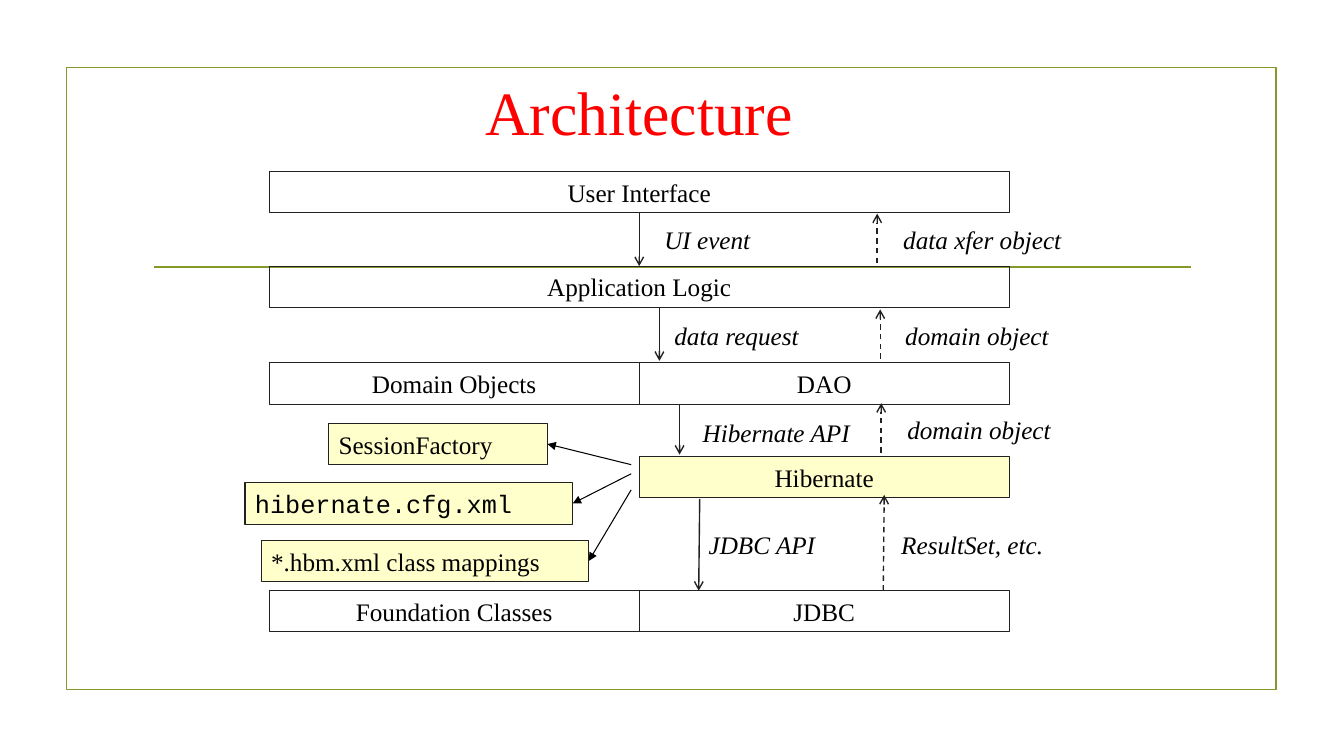
from dataclasses import dataclass
from typing import Any, NamedTuple, Optional

import pptx
import pptx.dml.color
import pptx.enum.dml
import pptx.enum.shapes
import pptx.enum.text
import pptx.oxml.ns
import pptx.util
from lxml import etree

PX = 9144  # EMU in one px: 100 px to the inch
ALIGN = pptx.enum.text.PP_ALIGN
MIDDLE = pptx.enum.text.MSO_ANCHOR.MIDDLE


@dataclass(frozen=True)
class Theme:
    frame: str = "83992A"
    edge: str = "212121"
    ink: str = "000000"
    title: str = "FF0000"
    pale: str = "FFFFCC"
    serif: str = "Times New Roman"
    mono: str = "Courier New"
    head_size: int = 44
    text_size: int = 18
    frame_line: float = 1.25
    box_line: float = 0.75
    flow_line: float = 1


THEME = Theme()


class Box(NamedTuple):
    text: str
    left: int
    top: int
    width: int
    fill: Optional[str] = None
    align: Any = ALIGN.CENTER
    font: str = THEME.serif


class Label(NamedTuple):
    text: str
    left: int
    top: int
    width: int


class Flow(NamedTuple):
    start: tuple[int, int]
    end: tuple[int, int]
    dashed: bool = False


class Detail(NamedTuple):
    box: Box
    start: tuple[int, int]


LEFT, HALF, BOX_H, LABEL_H = 267, 367, 41, 40
MID = LEFT + HALF

LAYERS = [
    Box("User Interface", LEFT, 170, 2 * HALF),
    Box("Application Logic", LEFT, 264, 2 * HALF),
    Box("Domain Objects", LEFT, 360, HALF),
    Box("DAO", MID, 360, HALF),
    Box("Hibernate", MID, 453, HALF, THEME.pale),
    Box("JDBC", MID, 586, HALF),
    Box("Foundation Classes", LEFT, 586, HALF),
]
DETAILS = [
    Detail(Box("SessionFactory", 326, 420, 217, THEME.pale, ALIGN.LEFT), (626, 461)),
    Detail(Box("hibernate.cfg.xml", 243, 479, 325, THEME.pale, ALIGN.LEFT, THEME.mono),
           (626, 470)),
    Detail(Box("*.hbm.xml class mappings", 259, 536, 325, THEME.pale, ALIGN.LEFT),
           (626, 486)),
]
LABELS = [
    Label("UI event", 649, 218, 130),
    Label("data request", 659, 313, 162),
    Label("Hibernate API", 687, 409, 189),
    Label("JDBC API", 693, 520, 170),
    Label("data xfer object", 886, 218, 201),
    Label("domain object", 888, 313, 201),
    Label("domain object", 890, 406, 188),
    Label("ResultSet, etc.", 884, 520, 188),
]
FLOWS = [
    Flow((654, 306), (654, 358)),
    Flow((674, 402), (674, 451)),
    Flow((694, 495), (693, 586)),
    Flow((870, 261), (870, 212), True),
    Flow((873, 356), (873, 307), True),
    Flow((874, 449), (874, 400), True),
    Flow((876, 586), (877, 491), True),
]


def px(*sizes: int) -> list[pptx.util.Emu]:
    return [pptx.util.Emu(size * PX) for size in sizes]


def paint(color: Any, value: str) -> None:
    color.rgb = pptx.dml.color.RGBColor.from_string(value)


def write(shape: Any, text: str, align: Any = ALIGN.LEFT, color: str = THEME.ink,
          **style: Any) -> None:
    shape.text_frame.word_wrap = True
    para = shape.text_frame.paragraphs[0]
    para.alignment = align
    run = para.add_run()
    run.text = text
    looks = {"name": THEME.serif, "size": THEME.text_size, "bold": False, **style}
    looks["size"] = pptx.util.Pt(looks["size"])
    for key, value in looks.items():
        setattr(run.font, key, value)
    paint(run.font.color, color)


def add_rect(slide: Any, place: tuple[int, int, int, int], color: str,
             width: float, fill: Optional[str] = None) -> Any:
    kind = pptx.enum.shapes.MSO_SHAPE.RECTANGLE
    shape = slide.shapes.add_shape(kind, *px(*place))
    shape.shadow.inherit = False
    if fill:
        shape.fill.solid()
        paint(shape.fill.fore_color, fill)
    else:
        shape.fill.background()
    paint(shape.line.color, color)
    shape.line.width = pptx.util.Pt(width)
    return shape


def add_box(slide: Any, box: Box) -> Any:
    place = (box.left, box.top, box.width, BOX_H)
    shape = add_rect(slide, place, THEME.edge, THEME.box_line, box.fill)
    shape.text_frame.vertical_anchor = MIDDLE
    write(shape, box.text, box.align, name=box.font)
    return shape


def add_label(slide: Any, label: Label) -> None:
    place = px(label.left, label.top, label.width, LABEL_H)
    write(slide.shapes.add_textbox(*place), label.text, italic=True)


def add_line(slide: Any, start: tuple[int, int], end: tuple[int, int], color: str,
             width: float, head: Optional[str] = None, dashed: bool = False) -> Any:
    kind = pptx.enum.shapes.MSO_CONNECTOR.STRAIGHT
    line = slide.shapes.add_connector(kind, *px(*start, *end))
    paint(line.line.color, color)
    line.line.width = pptx.util.Pt(width)
    if dashed:
        line.line.dash_style = pptx.enum.dml.MSO_LINE.DASH
    qn = pptx.oxml.ns.qn
    props = line.line._get_or_add_ln()
    if head:
        etree.SubElement(props, qn("a:tailEnd"), type=head)
    etree.SubElement(props.getparent(), qn("a:effectLst"))
    return line


def add_title(slide: Any, text: str) -> None:
    title = slide.shapes.title
    for key, value in zip(("left", "top", "width", "height"), px(109, 38, 1050, 143)):
        setattr(title, key, value)
    title.text_frame.vertical_anchor = MIDDLE
    title.text_frame.auto_size = pptx.enum.text.MSO_AUTO_SIZE.NONE
    write(title, text, ALIGN.CENTER, THEME.title, size=THEME.head_size)


def main() -> None:
    deck = pptx.Presentation()
    deck.slide_width, deck.slide_height = px(1333, 750)
    slide = deck.slides.add_slide(deck.slide_layouts[5])
    add_rect(slide, (66, 67, 1200, 617), THEME.frame, THEME.frame_line)
    add_line(slide, (153, 265), (1181, 265), THEME.frame, THEME.frame_line)
    add_title(slide, "Architecture")
    layers = [add_box(slide, box) for box in LAYERS]
    event = add_line(slide, (MID, 211), (MID, 264), THEME.edge, THEME.flow_line, "arrow")
    event.begin_connect(layers[0], 2)
    event.end_connect(layers[1], 0)
    for flow in FLOWS:
        add_line(slide, flow.start, flow.end, THEME.edge, THEME.flow_line, "arrow",
                 flow.dashed)
    for label in LABELS:
        add_label(slide, label)
    for box, start in DETAILS:
        shape = add_box(slide, box)
        end = (box.left + box.width, box.top + BOX_H // 2)
        line = add_line(slide, start, end, THEME.ink, THEME.box_line, "triangle")
        line.end_connect(shape, 3)
    deck.save("out.pptx")


if __name__ == "__main__":
    main()
